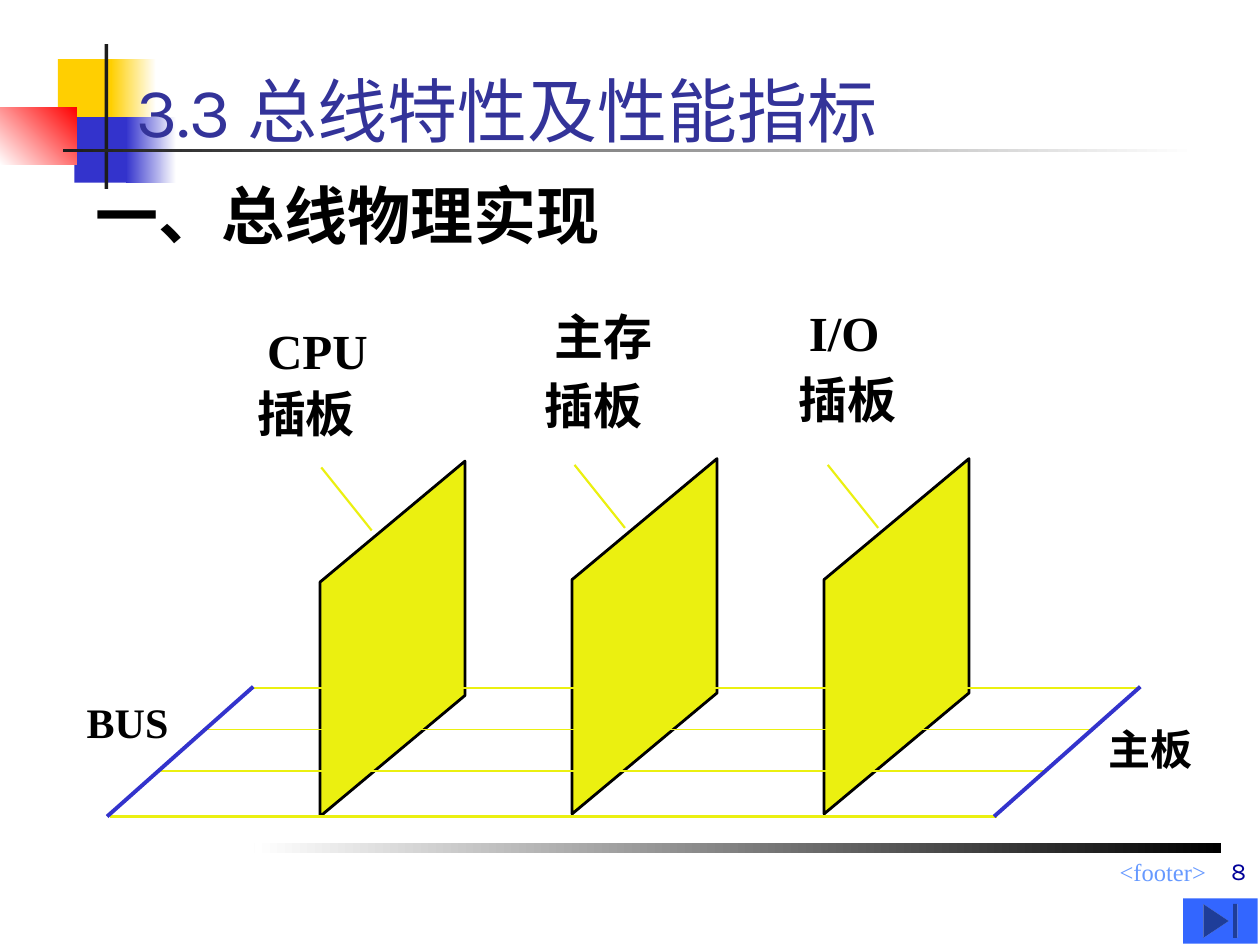
from lxml import etree
from pptx import Presentation
from pptx.dml.color import RGBColor
from pptx.enum.shapes import MSO_CONNECTOR, MSO_SHAPE
from pptx.enum.text import MSO_ANCHOR, MSO_AUTO_SIZE, PP_ALIGN
from pptx.oxml.ns import qn
from pptx.util import Inches, Pt

RECT, END_BUTTON = MSO_SHAPE.RECTANGLE, MSO_SHAPE.ACTION_BUTTON_END
STRAIGHT = MSO_CONNECTOR.STRAIGHT
TOP, BOTTOM = MSO_ANCHOR.TOP, MSO_ANCHOR.BOTTOM
LEFT, RIGHT = PP_ALIGN.LEFT, PP_ALIGN.RIGHT

WHITE = RGBColor(0xFF, 0xFF, 0xFF)
BLACK = RGBColor(0x00, 0x00, 0x00)
CHARCOAL = RGBColor(0x1C, 0x1C, 0x1C)
GOLD = RGBColor(0xFF, 0xCF, 0x01)
RED = RGBColor(0xFF, 0x00, 0x00)
BLUE = RGBColor(0x33, 0x33, 0xCC)
TITLE_BLUE = RGBColor(0x33, 0x33, 0x99)
NUMBER_BLUE = RGBColor(0x00, 0x00, 0x99)
FOOTER_BLUE = RGBColor(0x66, 0x99, 0xFF)
BUTTON_BLUE = RGBColor(0x33, 0x66, 0xFF)
YELLOW = RGBColor(0xEB, 0xF0, 0x10)
SERIF, SANS, CJK = "Times New Roman", "Karla", "Noto Sans CJK SC"

# The slide is a grid of 10 columns by 7.5 rows
prs = Presentation()
prs.slide_width, prs.slide_height = Inches(10), Inches(7.5)
COL, ROW = prs.slide_width / 10, prs.slide_height / 7.5
slide = prs.slides.add_slide(prs.slide_layouts[5])
shapes = slide.shapes


def write(holder, text, box, size, color, font=SERIF, bold=True,
          align=LEFT, anchor=TOP, wrap=False, inset=(0.1, 0.05)):
    """Place a text holder on the grid and fill it with one formatted line."""
    left, top, width, height = box
    holder.left, holder.width = int(left * COL), int(width * COL)
    holder.top, holder.height = int(top * ROW), int(height * ROW)
    frame = holder.text_frame
    side, edge = Inches(inset[0]), Inches(inset[1])
    layout = {"margin_left": side, "margin_right": side,
              "margin_top": edge, "margin_bottom": edge, "word_wrap": wrap,
              "vertical_anchor": anchor, "auto_size": MSO_AUTO_SIZE.NONE}
    for key, value in layout.items():
        setattr(frame, key, value)
    paragraph = frame.paragraphs[0]
    paragraph.alignment = align
    run = paragraph.add_run()
    run.text = text
    for key, value in {"size": Pt(size), "name": font, "bold": bold}.items():
        setattr(run.font, key, value)
    run.font.color.rgb = color
    etree.SubElement(run.font._element, qn("a:ea")).set("typeface", CJK)


def draw_line(x1, y1, x2, y2, color, width):
    """Draw a straight line between two grid points."""
    line = shapes.add_connector(STRAIGHT, int(x1 * COL), int(y1 * ROW),
                                int(x2 * COL), int(y2 * ROW))
    line.line.color.rgb, line.line.width = color, Pt(width)
    etree.SubElement(line._element.spPr, qn("a:effectLst"))


# Template ornament, rules and the button: box, colours, gradient angle
ornaments = [
    (RECT, 0.46, 0.47, 0.48, 0.52, [GOLD], 0),
    (RECT, 0.88, 0.47, 0.36, 0.52, [WHITE, GOLD], 180),
    (RECT, 0.59, 0.93, 0.46, 0.52, [BLUE], 0),
    (RECT, 1.00, 0.93, 0.40, 0.52, [WHITE, BLUE], 180),
    (RECT, 0.00, 0.85, 0.61, 0.46, [RED, WHITE], 225),
    (RECT, 0.83, 0.35, 0.03, 1.15, [CHARCOAL], 0),
    (RECT, 0.50, 1.18, 9.00, 0.03, [WHITE, CHARCOAL], 180),
    (RECT, 2.02, 6.69, 7.67, 0.08, [BLACK, WHITE], 180),
    (END_BUTTON, 9.39, 7.13, 0.59, 0.36, [BUTTON_BLUE], 0),
]
for kind, left, top, width, height, colors, angle in ornaments:
    ornament = shapes.add_shape(kind, int(left * COL), int(top * ROW),
                                int(width * COL), int(height * ROW))
    ornament.shadow.inherit = False
    ornament.line.fill.background()
    if len(colors) == 1:
        ornament.fill.solid()
        ornament.fill.fore_color.rgb = colors[0]
    else:
        ornament.fill.gradient()
        ornament.fill.gradient_angle = angle
        for stop, color in zip(ornament.fill.gradient_stops, colors):
            stop.color.rgb = color

# Title in front of the ornament, then heading, footer and page number
title = shapes.title
shapes._spTree.append(title._element)
write(title, "3.3 总线特性及性能指标", (0.98, 0, 8.5, 1.25), 40, TITLE_BLUE,
      font=SANS, bold=False, anchor=BOTTOM, wrap=True)
write(shapes.add_textbox(0, 0, 0, 0), "一、总线物理实现",
      (0.66, 1.35, 4.2, 0.7), 36, BLACK)
write(shapes.add_textbox(0, 0, 0, 0), "<footer>", (3.92, 6.75, 5.75, 0.26),
      14, FOOTER_BLUE, bold=False, align=RIGHT, wrap=True)
write(shapes.add_textbox(0, 0, 0, 0), "8", (5.21, 6.58, 4.78, 0.5), 14,
      NUMBER_BLUE, font=SANS, bold=False, align=RIGHT, anchor=BOTTOM, wrap=True)

# Plug-in boards: name, name position and width, caption position, board top
boards = [
    ("CPU", 2.12, 2.54, 0.80, 2.04, 3.04, 3.66),
    ("主存", 4.40, 2.43, 0.78, 4.32, 2.98, 3.64),
    ("I/O", 6.42, 2.40, 0.56, 6.34, 2.93, 3.64),
]
DEPTH, RISE, BOARD_HEIGHT = 1.15, 0.96, 1.86
for i, (name, name_x, name_y, name_w, caption_x, caption_y, top) in enumerate(boards):
    left = 2.54 + 2 * i
    right, shoulder = left + DEPTH, top + RISE
    outline = shapes.build_freeform(int(left * COL), int(shoulder * ROW))
    corners = [(right, top), (right, top + BOARD_HEIGHT),
               (left, shoulder + BOARD_HEIGHT)]
    outline.add_line_segments([(int(x * COL), int(y * ROW)) for x, y in corners])
    board = outline.convert_to_shape()
    board.shadow.inherit = False
    board.fill.solid()
    board.fill.fore_color.rgb = YELLOW
    board.line.color.rgb, board.line.width = BLACK, Pt(1.62)

    write(shapes.add_textbox(0, 0, 0, 0), name,
          (name_x, name_y, name_w, 0.47), 28, BLACK, inset=(0, 0))
    write(shapes.add_textbox(0, 0, 0, 0), "插板",
          (caption_x, caption_y, 0.78, 0.47), 28, BLACK, font=CJK, inset=(0, 0))
    pointer = 2.55 + 2.01 * i
    draw_line(pointer, top + 0.05, pointer + 0.4, top + 0.55, YELLOW, 1.25)

# Bus lines across the mainboard, the front one thicker
BUS_LENGTH = 7.04
draw_line(0.87, 6.48, 0.87 + BUS_LENGTH, 6.48, YELLOW, 1.62)
for i in range(3):
    start, level = 2 - 0.365 * i, 5.46 + 0.33 * i
    draw_line(start, level, start + BUS_LENGTH, level, YELLOW, 0.75)

# Slanted mainboard edges and their labels
for shift in (0, BUS_LENGTH):
    draw_line(2.01 + shift, 5.45, 0.85 + shift, 6.48, BLUE, 2.25)
for label, left, top in (("BUS", 0.59, 5.48), ("主板", 8.7, 5.69)):
    write(shapes.add_textbox(0, 0, 0, 0), label, (left, top, 0.86, 0.5), 24, BLACK)

prs.save("out.pptx")
